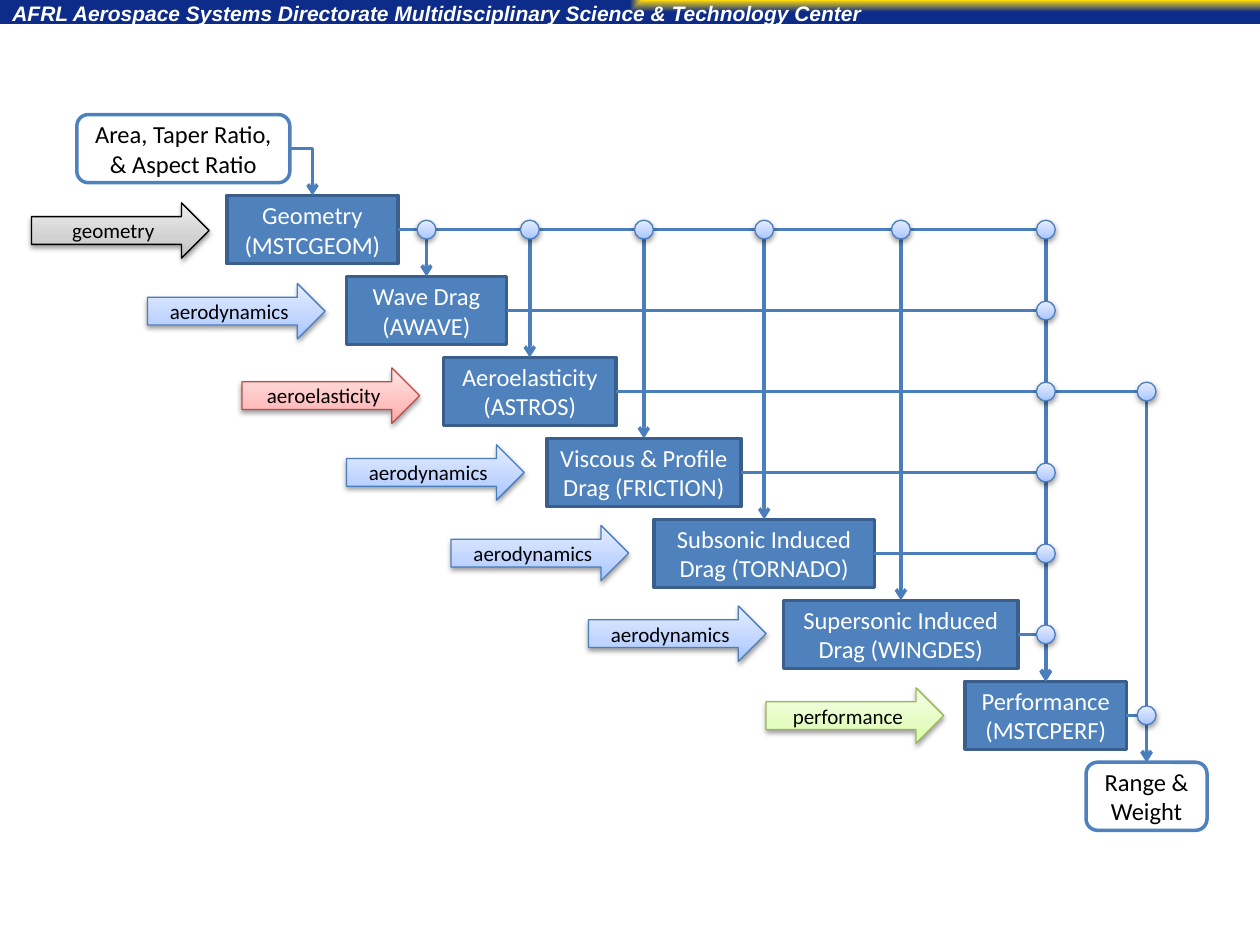
"""Build the multidisciplinary wing analysis workflow slide."""
from dataclasses import dataclass

from pptx import Presentation
from pptx import util as u
from pptx.dml.color import RGBColor
from pptx.enum import shapes, text
from pptx.oxml import parse_xml
from pptx.oxml.ns import nsdecls, qn


@dataclass(frozen=True)
class Theme:
    body: str = "Calibri"
    heading: str = "Arial"
    heading_size: int = 12
    stage_size: int = 14
    label_size: int = 12
    white: str = "FFFFFF"
    black: str = "000000"
    stage: str = "4F81BD"
    stage_edge: str = "3A5F8C"
    wire: str = "4B7EBC"
    gold: str = "FED910"
    navy: str = "0D2B88"
    thick: float = 2
    thin: float = 0.75


THEME = Theme()
HEADING = "AFRL Aerospace Systems Directorate Multidisciplinary Science & Technology Center"

TINTS = {
    "geometry": ("BDBDBD", "D1D1D1", "EEEEEE", THEME.black),
    "aerodynamics": ("A4C4FF", "BFD4FF", "E6EEFF", THEME.wire),
    "aeroelasticity": ("FFA6A5", "FFC0BF", "FFE7E7", "BF4C48"),
    "performance": ("DAFDA7", "E4FCC2", "F5FFE7", "98B955"),
}
# (key, wording, left, width)
STEPS = [
    ("input", "Area, Taper Ratio,\n& Aspect Ratio", 0.61, 1.69),
    ("geometry", "Geometry\n(MSTCGEOM)", 1.8, 1.36),
    ("wave", "Wave Drag\n(AWAVE)", 2.75, 1.27),
    ("elastic", "Aeroelasticity (ASTROS)", 3.52, 1.37),
    ("viscous", "Viscous & Profile Drag (FRICTION)", 4.34, 1.54),
    ("subsonic", "Subsonic Induced Drag (TORNADO)", 5.19, 1.75),
    ("supersonic", "Supersonic Induced Drag (WINGDES)", 6.22, 1.86),
    ("performance", "Performance (MSTCPERF)", 7.66, 1.28),
    ("output", "Range & Weight", 8.62, 0.96),
]
DISCIPLINES = [
    ("geometry", 0.25, 1.61),
    ("aerodynamics", 1.17, 2.25),
    ("aeroelasticity", 1.92, 2.92),
    ("aerodynamics", 2.75, 3.53),
    ("aerodynamics", 3.58, 4.17),
    ("aerodynamics", 4.67, 4.81),
    ("performance", 6.08, 5.46),
]
FLOWS = {
    "input": ["geometry"],
    "geometry": ["wave", "elastic", "viscous", "subsonic", "supersonic", "performance"],
    "wave": ["performance"],
    "elastic": ["output"],
    "viscous": ["performance"],
    "subsonic": ["performance"],
    "supersonic": ["performance"],
    "performance": ["output"],
}
CROSSING = ("elastic", "performance")
FIRST_TOP, LAST_TOP, STEP_HEIGHT = 0.91, 6.05, 0.54
ARROW_WIDTH, ARROW_HEIGHT, NODE = 1.41, 0.44, 0.15


def apply(target, values):
    for name, value in values.items():
        setattr(target, name, value)


def add_block(slide, kind, place, fill, edge=None, weight=THEME.thick):
    block = slide.shapes.add_shape(kind, *map(u.Inches, place))
    block.shadow.inherit = False
    block.fill.solid()
    block.fill.fore_color.rgb = RGBColor.from_string(fill)
    if edge:
        block.line.color.rgb = RGBColor.from_string(edge)
        block.line.width = u.Pt(weight)
    else:
        block.line.fill.background()
    return block


def shade(block, stops, direction):
    marks = "".join(
        f'<a:gs pos="{at * 1000}"><a:srgbClr val="{colour}"/></a:gs>' for at, colour in stops)
    solid = block._element.spPr.find(qn("a:solidFill"))
    solid.getparent().replace(solid, parse_xml(
        f'<a:gradFill {nsdecls("a")} rotWithShape="1"><a:gsLst>{marks}</a:gsLst>'
        f'{direction}</a:gradFill>'))


def add_tinted(slide, kind, place, discipline):
    *colours, edge = TINTS[discipline]
    block = add_block(slide, kind, place, colours[0], edge, THEME.thin)
    shade(block, zip((0, 35, 100), colours), '<a:lin ang="16200000" scaled="1"/>')
    block._element.spPr.find(qn("a:effectLst")).append(parse_xml(
        f'<a:outerShdw {nsdecls("a")} blurRad="{u.Pt(3.1)}" dist="{u.Pt(1.6)}" '
        'dir="5400000" rotWithShape="0"><a:srgbClr val="000000">'
        '<a:alpha val="38000"/></a:srgbClr></a:outerShdw>'))
    return block


def write(block, wording, size, colour, paragraph=None, **font):
    frame = block.text_frame
    frame.text = wording
    frame.word_wrap = True
    frame.vertical_anchor = text.MSO_ANCHOR.MIDDLE
    for line in frame.paragraphs:
        apply(line, paragraph or {"alignment": text.PP_ALIGN.CENTER})
        apply(line.font, {"name": THEME.body, "size": u.Pt(size), **font})
        line.font.color.rgb = RGBColor.from_string(colour)


def add_heading(slide):
    band = add_block(slide, shapes.MSO_SHAPE.RECTANGLE, (0, 0, 10, 0.19), THEME.navy)
    shade(band, [(0, THEME.gold), (100, THEME.navy)],
          '<a:path path="rect"><a:fillToRect l="100000" b="100000"/></a:path>')
    heading = slide.shapes.add_textbox(*map(u.Inches, (0, -0.01, 7, 0.26)))
    write(heading, HEADING, THEME.heading_size, THEME.white, {"line_spacing": 0.8},
          name=THEME.heading, bold=True, italic=True)
    heading.text_frame.vertical_anchor = text.MSO_ANCHOR.TOP


def add_steps(slide):
    pitch = (LAST_TOP - FIRST_TOP) / (len(STEPS) - 1)
    steps = {}
    for row, (key, wording, left, width) in enumerate(STEPS):
        place = (left, FIRST_TOP + row * pitch, width, STEP_HEIGHT)
        if key in ("input", "output"):
            look = (shapes.MSO_SHAPE.ROUNDED_RECTANGLE, place, THEME.white, THEME.stage)
            ink = THEME.black
        else:
            look = (shapes.MSO_SHAPE.RECTANGLE, place, THEME.stage, THEME.stage_edge)
            ink = THEME.white
        steps[key] = add_block(slide, *look)
        write(steps[key], wording, THEME.stage_size, ink)
    return steps


def add_flow(slide, source, target):
    flow = slide.shapes.add_connector(shapes.MSO_CONNECTOR.ELBOW, 0, 0, 0, 0)
    flow.begin_connect(source, 3)
    flow.end_connect(target, 0)
    flow.line.color.rgb = RGBColor.from_string(THEME.wire)
    flow.line.width = u.Pt(THEME.thick)
    outline = flow._element.spPr
    outline.find(qn("a:prstGeom")).set("prst", "bentConnector2")
    outline.find(qn("a:ln")).append(parse_xml(f'<a:tailEnd {nsdecls("a")} type="arrow"/>'))
    outline.append(parse_xml(f'<a:effectLst {nsdecls("a")}/>'))


def add_node(slide, source, target):
    across = u.Emu(target.left + target.width // 2).inches
    down = u.Emu(source.top + source.height // 2).inches
    place = (across - NODE / 2, down - NODE / 2, NODE, NODE)
    add_tinted(slide, shapes.MSO_SHAPE.OVAL, place, "aerodynamics")


def main():
    deck = Presentation()
    apply(deck, {"slide_width": u.Inches(10), "slide_height": u.Inches(7.5)})
    slide = deck.slides.add_slide(deck.slide_layouts[6])
    add_heading(slide)
    steps = add_steps(slide)
    flows = [(source, target) for source, targets in FLOWS.items() for target in targets]
    for source, target in flows:
        add_flow(slide, steps[source], steps[target])
    for source, target in flows[1:] + [CROSSING]:
        add_node(slide, steps[source], steps[target])
    for discipline, left, top in DISCIPLINES:
        arrow = add_tinted(slide, shapes.MSO_SHAPE.RIGHT_ARROW,
                           (left, top, ARROW_WIDTH, ARROW_HEIGHT), discipline)
        write(arrow, discipline, THEME.label_size, THEME.black)
    deck.save("out.pptx")


if __name__ == "__main__":
    main()
